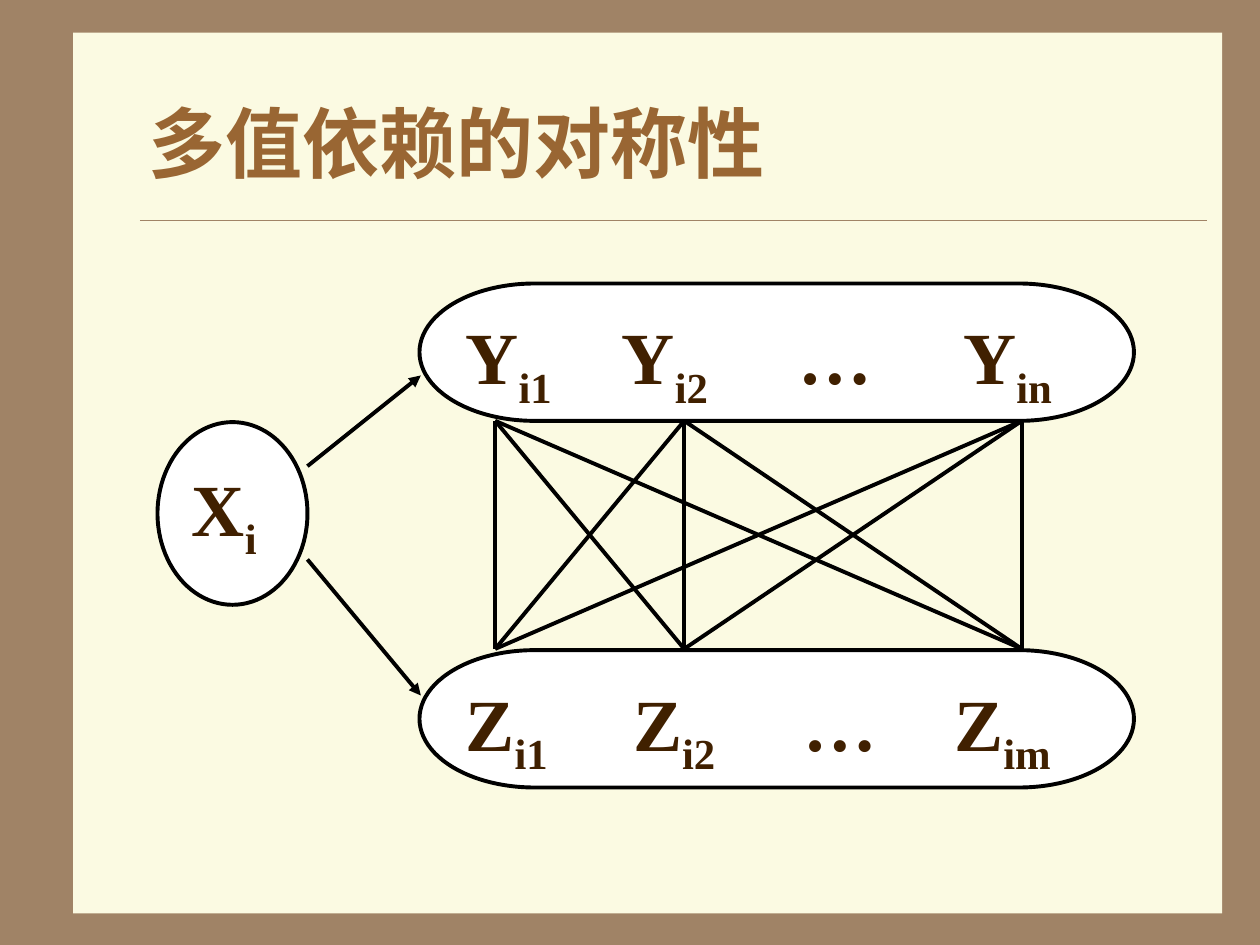
from itertools import product

from lxml.etree import SubElement
from pptx import Presentation
from pptx.dml.color import RGBColor
from pptx.enum.shapes import MSO_CONNECTOR, MSO_SHAPE as SHAPE
from pptx.enum.text import MSO_ANCHOR as ANCHOR, PP_ALIGN as ALIGN
from pptx.oxml.ns import qn
from pptx.util import Inches, Pt

BROWN, CREAM, WHITE, BLACK = "A08366", "FBFAE2", "FFFFFF", "000000"
TITLE, INK = "996633", "402000"
FONT = "Times New Roman"


def rgb(value):
    """Turn a hex string into a colour."""
    return RGBColor.from_string(value)


def set_font(p, size, color):
    """Set the bold font of a paragraph."""
    p.font.name, p.font.size, p.font.bold = FONT, Pt(size), True
    p.font.color.rgb = rgb(color)


def add_box(s, kind, box, fill, line=None):
    """Add a flat preset shape in the given box."""
    sp = s.shapes.add_shape(kind, *map(Inches, box))
    sp.shadow.inherit = False
    sp.fill.solid()
    sp.fill.fore_color.rgb = rgb(fill)
    if line:
        sp.line.color.rgb = rgb(line)
        sp.line.width = Pt(2.25)
    else:
        sp.line.fill.background()
    return sp


def add_line(s, start, end, color=BLACK, width=2.25, arrow=False):
    """Add a straight line, with an arrowhead at its end if asked."""
    ends = map(Inches, (*start, *end))
    cxn = s.shapes.add_connector(MSO_CONNECTOR.STRAIGHT, *ends)
    cxn.line.color.rgb = rgb(color)
    cxn.line.width = Pt(width)
    if arrow:
        SubElement(cxn.line._get_or_add_ln(), qn("a:tailEnd"), type="triangle")
    SubElement(cxn._element.spPr, qn("a:effectLst"))


def add_node(s, kind, box, terms, top, tabs=()):
    """Add a white node whose (letter, subscript) terms stand at tab stops."""
    tf = add_box(s, kind, box, WHITE, BLACK).text_frame
    tf.vertical_anchor, tf.margin_top = ANCHOR.TOP, Inches(top)
    p = tf.paragraphs[0]
    p.alignment = ALIGN.LEFT
    if tabs:
        stops = SubElement(p._p.get_or_add_pPr(), qn("a:tabLst"))
        for tab in tabs:
            SubElement(stops, qn("a:tab"), pos=str(Inches(tab)), algn="l")
    set_font(p, 42, INK)
    for i, (letter, sub) in enumerate(terms):
        p.add_run().text = "\t" * (i > 0) + letter
        if sub:
            r = p.add_run()
            r.text = sub
            r.font._element.set("baseline", "-25000")


def add_frame(s, box):
    """Add the page panel and the rule below the title."""
    s.background.fill.solid()
    s.background.fill.fore_color.rgb = rgb(BROWN)
    add_box(s, SHAPE.RECTANGLE, box, CREAM)
    add_line(s, (1.11, 1.75), (9.58, 1.75), BROWN, 0.25)


def add_title(s, box, text):
    """Place the title above the panel."""
    title = s.shapes.title
    s.shapes.element.append(title.element)
    title.left, title.top, title.width, title.height = map(Inches, box)
    tf = title.text_frame
    tf.text, tf.vertical_anchor = text, ANCHOR.MIDDLE
    p = tf.paragraphs[0]
    p.alignment = ALIGN.LEFT
    set_font(p, 44, TITLE)


def add_diagram(s, box):
    """Draw the source node, both value sets and all links between them."""
    left, top, width, height = box
    set_left, set_width, set_height = left + 2.08, width - 2.08, 1.09
    low = top + height - set_height
    add_node(s, SHAPE.OVAL, (left, top + 1.1, 1.19, 1.45), [("X", "i")], 0.11)
    sets = [
        (top, [("Y", "i1"), ("Y", "i2"), ("…", ""), ("Y", "in")], (1.24, 2.64, 3.95)),
        (low, [("Z", "i1"), ("Z", "i2"), ("…", ""), ("Z", "im")], (1.33, 2.68, 3.88)),
    ]
    for y, terms, tabs in sets:
        node = (set_left, y, set_width, set_height)
        add_node(s, SHAPE.FLOWCHART_TERMINATOR, node, terms, 0.06, tabs)
    for start, end in ((1.45, 0.73), (2.19, 3.27)):
        add_line(s, (left + 1.19, top + start), (set_left + 0.01, top + end), arrow=True)
    columns = [left + dx for dx in (2.68, 4.18, 6.86)]
    for x1, x2 in product(columns, repeat=2):
        add_line(s, (x1, top + set_height), (x2, low - 0.01))


def main():
    """Build and save the slide."""
    prs = Presentation()
    prs.slide_width, prs.slide_height = Inches(10), Inches(7.5)
    s = prs.slides.add_slide(prs.slide_layouts[5])
    add_frame(s, (0.58, 0.26, 9.12, 6.99))
    add_title(s, (1.08, 0.5, 8.5, 1.25), "多值依赖的对称性")
    add_diagram(s, (1.25, 2.25, 7.75, 4))
    prs.save("out.pptx")


if __name__ == "__main__":
    main()
